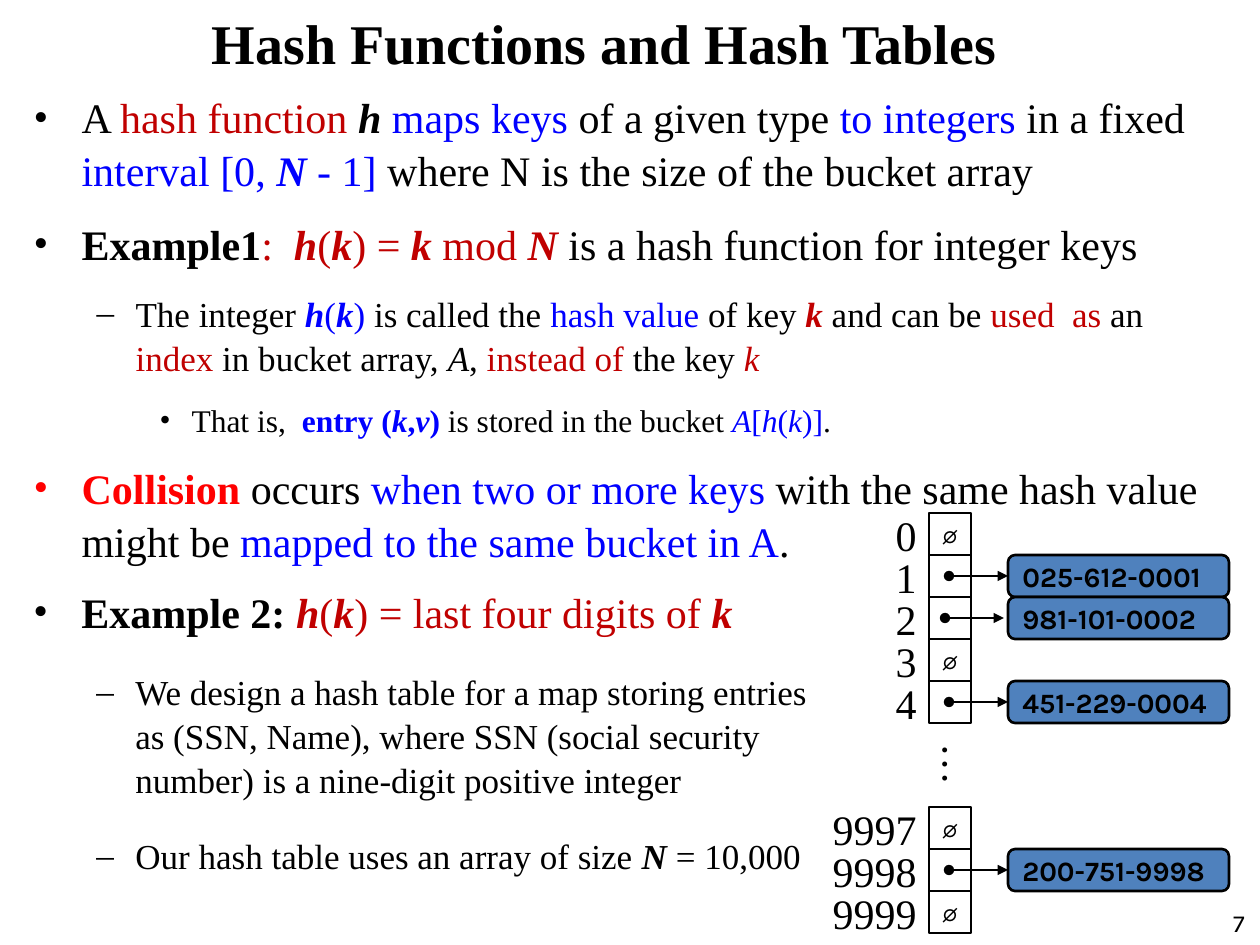
from dataclasses import dataclass
from typing import NamedTuple

from lxml import etree
from pptx import Presentation
from pptx.dml.color import RGBColor
from pptx.enum.shapes import MSO_CONNECTOR, MSO_SHAPE
from pptx.enum.text import MSO_ANCHOR, MSO_AUTO_SIZE, PP_ALIGN
from pptx.oxml.ns import qn
from pptx.util import Emu, Pt

LEFT, CENTER, RIGHT = PP_ALIGN.LEFT, PP_ALIGN.CENTER, PP_ALIGN.RIGHT
TOP, MIDDLE = MSO_ANCHOR.TOP, MSO_ANCHOR.MIDDLE
RECTANGLE, ROUNDED = MSO_SHAPE.RECTANGLE, MSO_SHAPE.ROUNDED_RECTANGLE
STRAIGHT, NO_FIT = MSO_CONNECTOR.STRAIGHT, MSO_AUTO_SIZE.NONE

BLACK = RGBColor(0x00, 0x00, 0x00)
BLUE = RGBColor(0x00, 0x00, 0xFF)
CRIMSON = RGBColor(0xC0, 0x00, 0x00)
RED = RGBColor(0xFF, 0x00, 0x00)
NODE_FILL = RGBColor(0x4F, 0x81, 0xBD)
SERIF, SANS = "Times New Roman", "Karla"

PX_PER_INCH = 126
CELL = 42
CELL_LEFT, TABLE_TOP = 929, 513
NODE_LEFT, NODE_WIDTH = 1008, 221


def px(length: int) -> Emu:
    return Emu(round(length * 914400 / PX_PER_INCH))


class Span(NamedTuple):
    text: str
    color: RGBColor = BLACK
    style: str = ""  # any of "b" and "i"


class Bullet(NamedTuple):
    level: int
    spans: list[Span]


class Level(NamedTuple):
    size: int
    margin: int
    hang: int
    mark: str


@dataclass
class Bucket:
    slot: int
    label: str
    entry: str = ""
    arrow_shift: int = 0


LEVELS = [Level(24, 48, 48, "•"), Level(20, 102, 39, "–"), Level(18, 158, 32, "•")]

DEFINITIONS = [
    Bullet(0, [Span("A "), Span("hash function ", CRIMSON), Span("h ", BLACK, "bi"),
               Span("maps keys ", BLUE), Span("of a given type "),
               Span("to integers ", BLUE), Span("in a fixed "),
               Span("interval [0, ", BLUE), Span("N ", BLUE, "bi"), Span("- 1] ", BLUE),
               Span("where N is the size of the bucket array")]),
    Bullet(0, [Span("Example1", BLACK, "b"), Span(":  ", CRIMSON),
               Span("h", CRIMSON, "bi"), Span("(", CRIMSON), Span("k", CRIMSON, "bi"),
               Span(") = ", CRIMSON), Span("k", CRIMSON, "bi"), Span(" mod ", CRIMSON),
               Span("N ", CRIMSON, "bi"), Span("is a hash function for integer keys")]),
    Bullet(1, [Span("The integer "), Span("h", BLUE, "bi"), Span("(", BLUE),
               Span("k", BLUE, "bi"), Span(")", BLUE), Span(" is called the "),
               Span("hash value ", BLUE), Span("of key "), Span("k ", CRIMSON, "bi"),
               Span("and can be "), Span("used  as", CRIMSON), Span(" an "),
               Span("index ", CRIMSON), Span("in bucket array, "), Span("A", BLACK, "i"),
               Span(", "), Span("instead of", CRIMSON), Span(" the key "),
               Span("k", CRIMSON, "i")]),
    Bullet(2, [Span("That is,  "), Span("entry (", BLUE, "b"), Span("k", BLUE, "bi"),
               Span(",", BLUE, "b"), Span("v", BLUE, "bi"), Span(") ", BLUE, "b"),
               Span("is stored in the bucket "), Span("A", BLUE, "i"), Span("[", BLUE),
               Span("h", BLUE, "i"), Span("(", BLUE), Span("k", BLUE, "i"),
               Span(")]", BLUE), Span(".")]),
    Bullet(0, [Span("Collision ", RED, "b"), Span("occurs "),
               Span("when two or more keys ", BLUE),
               Span("with the same hash value might be "),
               Span("mapped to the same bucket in A", BLUE), Span(".")]),
]

SSN_EXAMPLE = [
    Bullet(0, [Span("Example 2: ", BLACK, "b"), Span("h", CRIMSON, "bi"),
               Span("(", CRIMSON), Span("k", CRIMSON, "bi"),
               Span(") = last four digits of ", CRIMSON), Span("k", CRIMSON, "bi")]),
    Bullet(1, [Span("We design a hash table for a map storing entries as (SSN, Name), "
                    "where SSN (social security number) is a nine-digit positive integer")]),
    Bullet(1, [Span("Our hash table uses an array of size "), Span("N ", BLACK, "bi"),
               Span("= 10,000")]),
]

BUCKETS = [
    Bucket(0, "0"), Bucket(1, "1", "025-612-0001"),
    Bucket(2, "2", "981-101-0002", -4), Bucket(3, "3"),
    Bucket(4, "4", "451-229-0004"), Bucket(7, "9997"),
    Bucket(8, "9998", "200-751-9998"), Bucket(9, "9999"),
]


def place(shape, left: int, top: int, width: int, height: int) -> None:
    box = {"left": left, "top": top, "width": width, "height": height}
    for name, value in box.items():
        setattr(shape, name, px(value))


def set_frame(shape, anchor=TOP, wrap: bool = True) -> None:
    settings = {"auto_size": NO_FIT, "word_wrap": wrap, "vertical_anchor": anchor}
    for name, value in settings.items():
        setattr(shape.text_frame, name, value)


def add_span(para, span: Span, size: int, font: str = SERIF) -> None:
    run = para.add_run()
    run.text = span.text
    settings = {"name": font, "size": Pt(size),
                "bold": "b" in span.style, "italic": "i" in span.style}
    for name, value in settings.items():
        setattr(run.font, name, value)
    run.font.color.rgb = span.color


def write_line(shape, span: Span, size: int, font: str = SERIF,
               align=LEFT, anchor=TOP, wrap: bool = True) -> None:
    set_frame(shape, anchor, wrap)
    para = shape.text_frame.paragraphs[0]
    para.alignment = align
    add_span(para, span, size, font)


def write_bullets(shape, bullets: list[Bullet], gap: int) -> None:
    set_frame(shape)
    frame = shape.text_frame
    for index, bullet in enumerate(bullets):
        para = frame.add_paragraph() if index else frame.paragraphs[0]
        level = LEVELS[bullet.level]
        settings = {"level": bullet.level, "alignment": LEFT, "line_spacing": 1.05,
                    "space_before": Pt(gap), "space_after": Pt(0)}
        for name, value in settings.items():
            setattr(para, name, value)
        properties = para._p.get_or_add_pPr()
        properties.set("marL", str(px(level.margin)))
        properties.set("indent", str(-px(level.hang)))
        etree.SubElement(properties, qn("a:buFont"), typeface=SERIF)
        etree.SubElement(properties, qn("a:buChar"), char=level.mark)
        for span in bullet.spans:
            add_span(para, span, level.size)


def add_text_box(page, left: int, top: int, width: int, height: int):
    return page.shapes.add_textbox(px(left), px(top), px(width), px(height))


def add_box(page, preset, left: int, top: int, width: int):
    box = page.shapes.add_shape(preset, px(left), px(top), px(width), px(CELL))
    box.shadow.inherit = False
    box.line.color.rgb = BLACK
    box.line.width = Pt(1.5)
    return box


def add_arrow(page, start: int, end: int, y: int) -> None:
    arrow = page.shapes.add_connector(STRAIGHT, px(start), px(y), px(end), px(y))
    arrow.line.color.rgb = BLACK
    arrow.line.width = Pt(1.5)
    line = arrow.line._get_or_add_ln()
    etree.SubElement(line, qn("a:headEnd"), type="oval")
    etree.SubElement(line, qn("a:tailEnd"), type="triangle")
    etree.SubElement(arrow._element.spPr, qn("a:effectLst"))


def draw_bucket(page, bucket: Bucket) -> None:
    top = TABLE_TOP + bucket.slot * CELL
    cell = add_box(page, RECTANGLE, CELL_LEFT, top, CELL)
    cell.fill.background()
    width = 26 + 21 * len(bucket.label)
    label = add_text_box(page, CELL_LEFT - width, top - 10, width, 63)
    write_line(label, Span(bucket.label), 24, align=RIGHT, wrap=False)
    if not bucket.entry:
        write_line(cell, Span("∅"), 18, SANS, CENTER, MIDDLE, wrap=False)
        return
    node = add_box(page, ROUNDED, NODE_LEFT, top, NODE_WIDTH)
    node.fill.solid()
    node.fill.fore_color.rgb = NODE_FILL
    write_line(node, Span(bucket.entry, BLACK, "b"), 16, SANS, anchor=MIDDLE)
    start = CELL_LEFT + CELL // 2 - 1 + bucket.arrow_shift
    add_arrow(page, start, NODE_LEFT + bucket.arrow_shift, top + CELL // 2)


def main() -> None:
    deck = Presentation()
    deck.slide_width, deck.slide_height = px(1260), px(945)
    page = deck.slides.add_slide(deck.slide_layouts[1])

    # Title and definitions
    title, body = page.placeholders
    place(title, 116, 0, 977, 84)
    write_line(title, Span("Hash Functions and Hash Tables", BLACK, "b"), 32,
               align=CENTER, anchor=MIDDLE)
    place(body, 21, 83, 1197, 466)
    write_bullets(body, DEFINITIONS, 12)

    # Bucket array with its stored entries
    for bucket in BUCKETS:
        draw_bucket(page, bucket)
    dots = add_text_box(page, 926, 733, 67, 63)
    dots.rotation = 90
    write_line(dots, Span("…"), 24, wrap=False)

    # Second example and page number
    write_bullets(add_text_box(page, 21, 578, 818, 347), SSN_EXAMPLE, 18)
    number = add_text_box(page, 1081, 901, 176, 43)
    write_line(number, Span("7"), 14, SANS, RIGHT, MIDDLE)

    deck.save("out.pptx")


if __name__ == "__main__":
    main()
